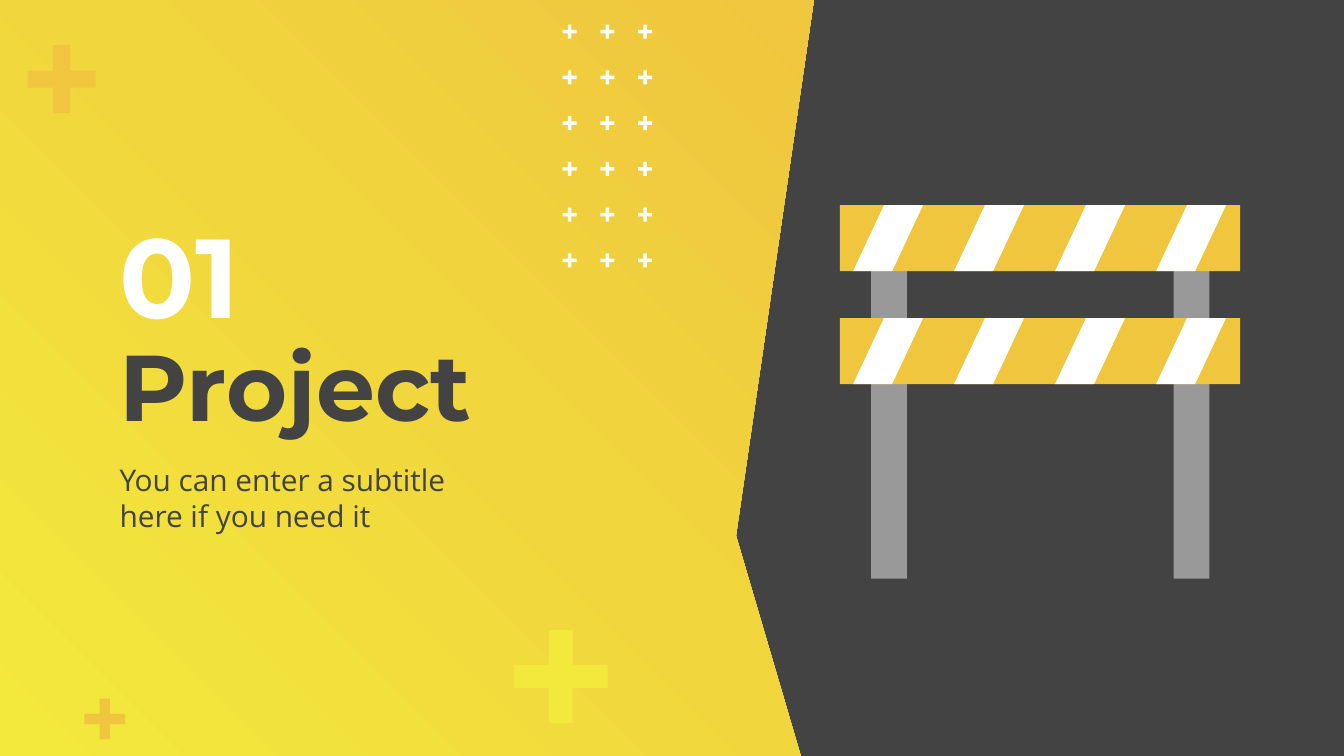
from pptx import Presentation
from pptx import util as u
from pptx.dml.color import RGBColor
from pptx.enum import shapes, text

COLORS = {
    "dark": "434343",
    "yellow": "F3E83C",
    "amber": "EFC63E",
    "white": "FFFFFF",
    "gray": "999999",
}


def color(name):
    return RGBColor.from_string(COLORS[name])


def finish(shape, fill):
    shape.shadow.inherit = False
    shape.line.fill.background()
    shape.fill.solid()
    shape.fill.fore_color.rgb = color(fill)


def add_polygon(page, points, fill):
    corners = [(u.Pt(x), u.Pt(y)) for x, y in points]
    builder = page.shapes.build_freeform(*corners[0])
    builder.add_line_segments(corners[1:], close=True)
    shape = builder.convert_to_shape()
    finish(shape, fill)
    return shape


def add_gradient_panel(page):
    points = [(0, 0), (0, 405), (429, 405), (394.3, 287), (436, 0)]
    panel = add_polygon(page, points, "yellow")
    panel.fill.gradient()
    panel.fill.gradient_angle = 45
    for stop, name in zip(panel.fill.gradient_stops, ("yellow", "amber")):
        stop.color.rgb = color(name)


def add_block(page, left, top, width, height, fill):
    block = page.shapes.add_shape(
        shapes.MSO_SHAPE.RECTANGLE,
        u.Pt(left), u.Pt(top), u.Pt(width), u.Pt(height))
    finish(block, fill)


def add_plus(page, left, top, size, fill):
    plus = page.shapes.add_shape(
        shapes.MSO_SHAPE.CROSS, u.Pt(left), u.Pt(top), u.Pt(size), u.Pt(size))
    plus.adjustments[0] = 0.375
    finish(plus, fill)


def add_label(page, area, words, font, size, fill, anchor, bold=False):
    box = page.shapes.add_textbox(*[u.Pt(value) for value in area])
    frame = box.text_frame
    frame.word_wrap = True
    frame.vertical_anchor = anchor
    frame.margin_left = frame.margin_right = u.Pt(7.2)
    frame.margin_top = frame.margin_bottom = u.Pt(7.2)
    para = frame.paragraphs[0]
    span = para.add_run()
    span.text = words
    span.font.name = font
    span.font.size = u.Pt(size)
    span.font.bold = bold
    span.font.color.rgb = color(fill)


def add_board(page, top):
    left, height = 450, 35.4
    add_block(page, left, top, 214.4, height, "amber")
    for index in range(4):
        foot = left + 7 + 54.1 * index
        stripe = [(foot + 16.6, top), (foot, top + height),
                  (foot + 20.9, top + height), (foot + 37.5, top)]
        add_polygon(page, stripe, "white")


def add_barrier(page):
    for left in (466.6, 628.7):
        add_block(page, left, 125, 19.2, 185, "gray")
    for top in (109.9, 170.4):
        add_board(page, top)


def add_plus_grid(page):
    for column in range(3):
        for row in range(6):
            add_plus(page, 301.4 + 20.2 * column, 13.2 + 24.5 * row, 7.5, "white")


def main():
    deck = Presentation()
    deck.slide_width, deck.slide_height = u.Pt(720), u.Pt(405)
    page = deck.slides.add_slide(deck.slide_layouts[6])
    page.background.fill.solid()
    page.background.fill.fore_color.rgb = color("dark")

    add_gradient_panel(page)
    add_plus(page, 275.5, 337.4, 50, "yellow")
    add_plus(page, 14.8, 24.2, 36.4, "amber")
    add_plus(page, 45.2, 374.3, 21.8, "amber")

    anchors = text.MSO_ANCHOR
    add_label(page, (57, 173, 225, 66), "Project",
              "Montserrat", 50, "dark", anchors.MIDDLE, True)
    add_label(page, (57, 124, 113, 66), "01",
              "Montserrat", 60, "white", anchors.BOTTOM, True)
    add_label(page, (57, 240, 225, 56), "You can enter a subtitle here if you need it",
              "Open Sans", 16, "dark", anchors.TOP)

    add_barrier(page)
    add_plus_grid(page)
    deck.save("out.pptx")


if __name__ == "__main__":
    main()
